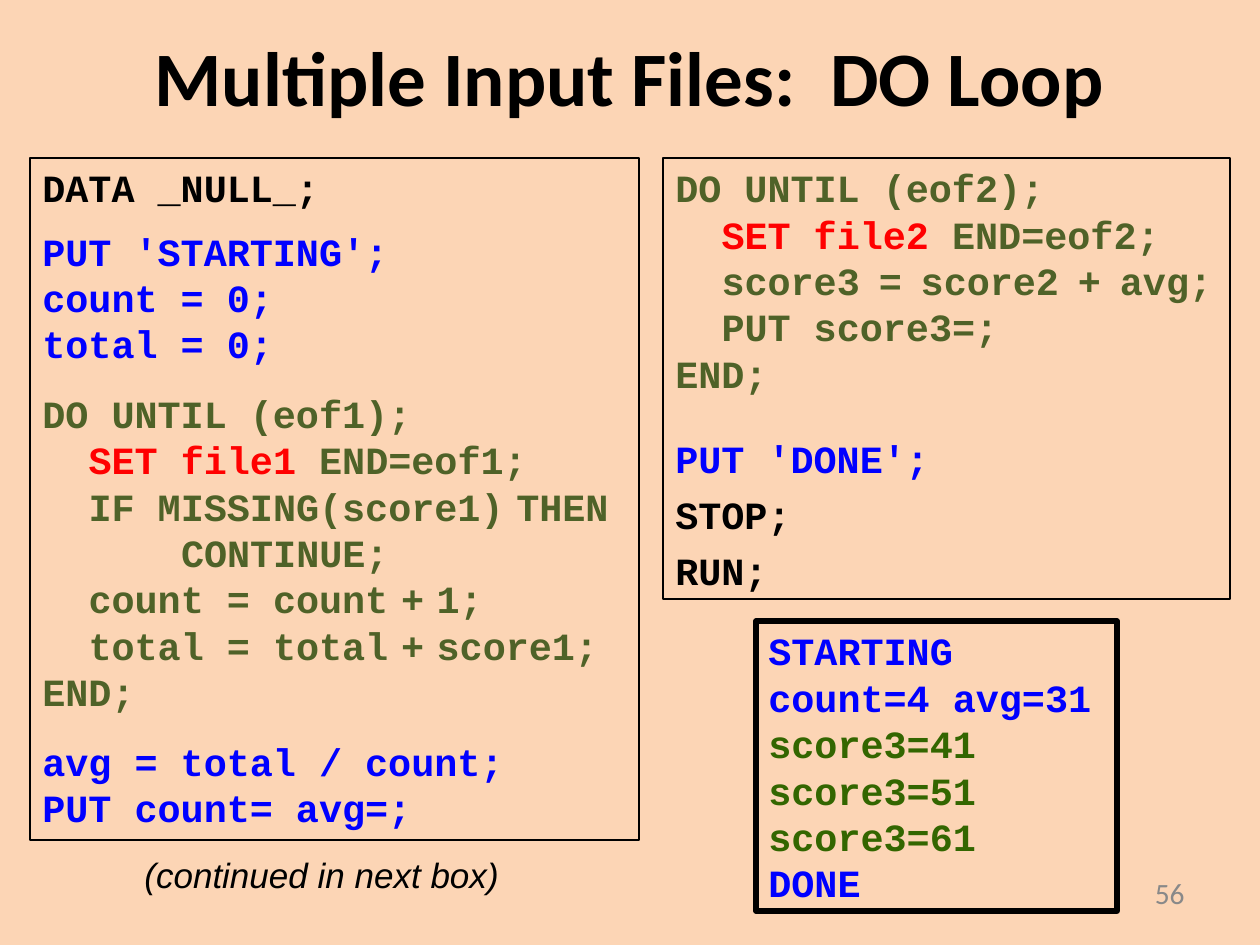
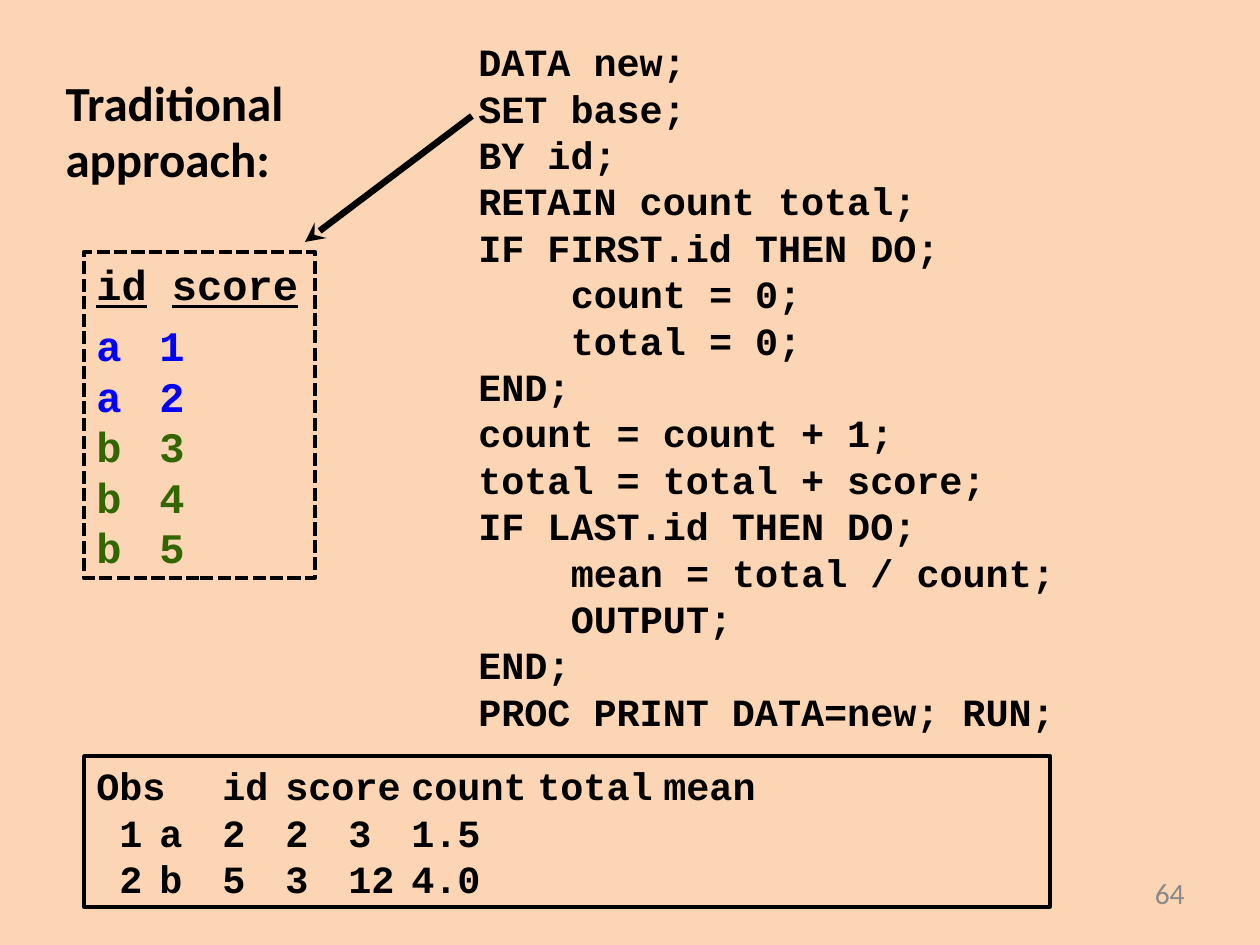
"""Build two slides about reading data sets with code loops."""
from lxml import etree
from pptx import Presentation
from pptx import util as u
from pptx.dml.color import RGBColor
from pptx.enum import dml, shapes, text
from pptx.oxml.ns import qn

HUES = {"sand": "FCD5B5", "black": "000000", "blue": "0000FF", "olive": "4F6228",
        "red": "FF0000", "green": "336600", "gray": "898989"}
SCALE = 914400 / 126
MONO, SANS, PLAIN = "Courier New", "Calibri", "Arial"
PITCH, WIDE = 1.205, 0.6


def rows(hue, *lines, gap=0):
    """Give lines of one colour, with a gap in points before the first."""
    return [(0 if k else gap, [(hue, line)]) for k, line in enumerate(lines)]


def read(name, end):
    """Give the SET line of a loop."""
    return [(0, [("red", f"  SET {name}"), ("olive", f" END={end};")])]


LOOP = {
    "title": "Multiple Input Files:  DO Loop",
    "page": "56",
    "note": "(continued in next box)",
    "boxes": [
        {"at": (30, 158, 609, 682), "line": 1.5, "thin": 12, "rows":
            rows("black", "DATA _NULL_;")
            + rows("blue", "PUT 'STARTING';", "count = 0;", "total = 0;", gap=9.6)
            + rows("olive", "DO UNTIL (eof1);", gap=13.2)
            + read("file1", "eof1")
            + rows("olive", "  IF MISSING(score1)~THEN", "      CONTINUE;",
                   "  count = count~+~1;", "  total = total~+~score1;", "END;")
            + rows("blue", "avg = total / count;", "PUT count= avg=;", gap=13.2)},
        {"at": (663, 158, 567, 441), "line": 1.5, "thin": 18, "rows":
            rows("olive", "DO UNTIL (eof2);")
            + read("file2", "eof2")
            + rows("olive", "  score3~=~score2~+~avg;", "  PUT score3=;", "END;")
            + rows("blue", "PUT 'DONE';", gap=22.3)
            + rows("black", "STOP;", gap=5.5)
            + rows("black", "RUN;", gap=5.5)},
        {"at": (756, 621, 361, 290), "line": 3, "rows":
            rows("blue", "STARTING", "count=4 avg=31")
            + rows("green", "score3=41", "score3=51", "score3=61")
            + rows("blue", "DONE")},
    ],
}
OLD = {
    "body": ["Traditional", "approach:"],
    "page": "64",
    "arrow": (472, 116, 305, 242),
    "boxes": [
        {"at": (84, 756, 966, 151), "line": 2, "rows": rows(
            "black",
            "Obs   id   score   count   total   mean",
            " 1    a      2       2        3     1.5",
            " 2    b      5       3       12     4.0")},
        {"at": (466, 32, 620, 706), "rows": rows(
            "black", "DATA new;", "SET base;", "BY id;", "RETAIN count total;",
            "IF FIRST.id THEN DO;", "    count = 0;", "    total = 0;", "END;",
            "count = count + 1;", "total = total + score;", "IF LAST.id THEN DO;",
            "    mean = total / count;", "    OUTPUT;", "END;",
            "PROC PRINT DATA=new; RUN;")},
        {"at": (84, 252, 231, 326), "line": 2.5, "dash": True, "size": 24, "rows":
            [(0, [("black", "id", True), ("black", " "), ("black", "score", True)])]
            + rows("blue", "a    1", "a    2", gap=6)
            + rows("green", "b    3", "b    4", "b    5")},
    ],
}


def px(*nums):
    """Turn px into EMU."""
    return [u.Emu(round(n * SCALE)) for n in nums]


def rgb(hue):
    """Look up a colour."""
    return RGBColor.from_string(HUES[hue])


def add_run(par, words, size, face=MONO, hue="black", bold=True, under=None):
    """Add one styled run."""
    run = par.add_run()
    run.text = words
    font = run.font
    font.size, font.name, font.bold, font.underline = u.Pt(size), face, bold, under
    font.color.rgb = rgb(hue)
    return run


def set_par(par, indent=0):
    """Set the left margin of a paragraph and drop its bullet."""
    prop = par._p.get_or_add_pPr()
    prop.set("marL", str(u.Pt(indent)))
    prop.set("indent", "0")
    etree.SubElement(prop, qn("a:buNone"))
    return prop


def add_tabs(prop, line, step):
    """Turn wide gaps in a line into tabs at the columns of its words."""
    words = [w.lstrip() for w in line.split("  ") if w.strip()]
    words[0] = line[:line.index(words[0])] + words[0]
    spot = len(words[0])
    stops = etree.SubElement(prop, qn("a:tabLst"))
    for word in words[1:]:
        spot = line.index(word, spot)
        etree.SubElement(stops, qn("a:tab"), pos=str(u.Pt(spot * step)), algn="l")
        spot += len(word)
    return "\t".join(words)


def add_line(par, gap, runs, size, thin):
    """Write one line of code, with its indent and columns."""
    par.line_spacing, par.space_before = u.Pt(size * PITCH), u.Pt(gap)
    first = runs[0][1]
    lead = len(first) - len(first.lstrip())
    lead = lead if lead > 1 else 0
    prop = set_par(par, lead * size * WIDE)
    for k, (hue, words, *under) in enumerate(runs):
        words = words if k else words[lead:]
        if "  " in words:
            words = add_tabs(prop, words, size * WIDE)
        for n, part in enumerate(words.split("~")):
            if n:
                add_run(par, " ", thin, hue=hue)
            add_run(par, part, size, hue=hue, under=bool(under))


def add_box(slide, box):
    """Draw a box of code."""
    if "line" in box:
        shape = slide.shapes.add_shape(shapes.MSO_SHAPE.RECTANGLE, *px(*box["at"]))
        shape.shadow.inherit = False
        shape.fill.background()
        shape.line.color.rgb = rgb("black")
        shape.line.width = u.Pt(box["line"])
        if box.get("dash"):
            shape.line.dash_style = dml.MSO_LINE.SQUARE_DOT
    else:
        shape = slide.shapes.add_textbox(*px(*box["at"]))
    frame = shape.text_frame
    frame.word_wrap, frame.vertical_anchor = True, text.MSO_ANCHOR.TOP
    for k, (gap, runs) in enumerate(box["rows"]):
        par = frame.add_paragraph() if k else frame.paragraphs[0]
        par.alignment = text.PP_ALIGN.LEFT
        add_line(par, gap, runs, box.get("size", 22), box.get("thin", 12))


def add_label(slide, at):
    """Add a text box and give its frame."""
    frame = slide.shapes.add_textbox(*px(*at)).text_frame
    frame.word_wrap = True
    return frame


def add_page(slide, page):
    """Write the slide number."""
    frame = add_label(slide, (903, 871, 294, 50))
    frame.vertical_anchor = text.MSO_ANCHOR.MIDDLE
    par = frame.paragraphs[0]
    par.alignment, par.line_spacing = text.PP_ALIGN.RIGHT, 0.8
    add_run(par, page, 16.8, SANS, "gray", False)


def move(holder, at):
    """Place a placeholder and give its frame."""
    holder.left, holder.top, holder.width, holder.height = px(*at)
    frame = holder.text_frame
    frame.auto_size = text.MSO_AUTO_SIZE.NONE
    return frame


def add_arrow(slide, ends):
    """Draw the arrow from code to data."""
    link = slide.shapes.add_connector(shapes.MSO_CONNECTOR.STRAIGHT, *px(*ends))
    link.line.color.rgb = rgb("black")
    link.line.width = u.Pt(3.75)
    etree.SubElement(link.line._get_or_add_ln(), qn("a:tailEnd"), type="stealth")
    etree.SubElement(link._element.spPr, qn("a:effectLst"))


def start(deck, layout, data):
    """Add a slide with its boxes and number."""
    slide = deck.slides.add_slide(deck.slide_layouts[layout])
    for box in data["boxes"]:
        add_box(slide, box)
    add_page(slide, data["page"])
    return slide


def main():
    """Build and save the deck."""
    deck = Presentation()
    deck.slide_width, deck.slide_height = px(1260, 945)
    back = deck.slide_master.background.fill
    back.solid()
    back.fore_color.rgb = rgb("sand")

    slide = start(deck, 5, LOOP)
    frame = move(slide.shapes.title, (63, 16, 1134, 120))
    frame.vertical_anchor = text.MSO_ANCHOR.MIDDLE
    par = frame.paragraphs[0]
    par.alignment = text.PP_ALIGN.CENTER
    add_run(par, LOOP["title"], 44, SANS)
    note = add_label(slide, (132, 847, 388, 55)).paragraphs[0]
    add_run(note, LOOP["note"], 20, PLAIN, bold=False).font.italic = True

    slide = start(deck, 1, OLD)
    title = slide.shapes.title._element
    title.getparent().remove(title)
    frame = move(slide.placeholders[1], (53, 73, 252, 126))
    for k, words in enumerate(OLD["body"]):
        par = frame.add_paragraph() if k else frame.paragraphs[0]
        par.line_spacing, par.space_before, par.space_after = 0.9, u.Pt(0), u.Pt(1.8)
        set_par(par)
        add_run(par, words, 28, SANS)
    add_arrow(slide, OLD["arrow"])
    deck.save("out.pptx")


if __name__ == "__main__":
    main()
